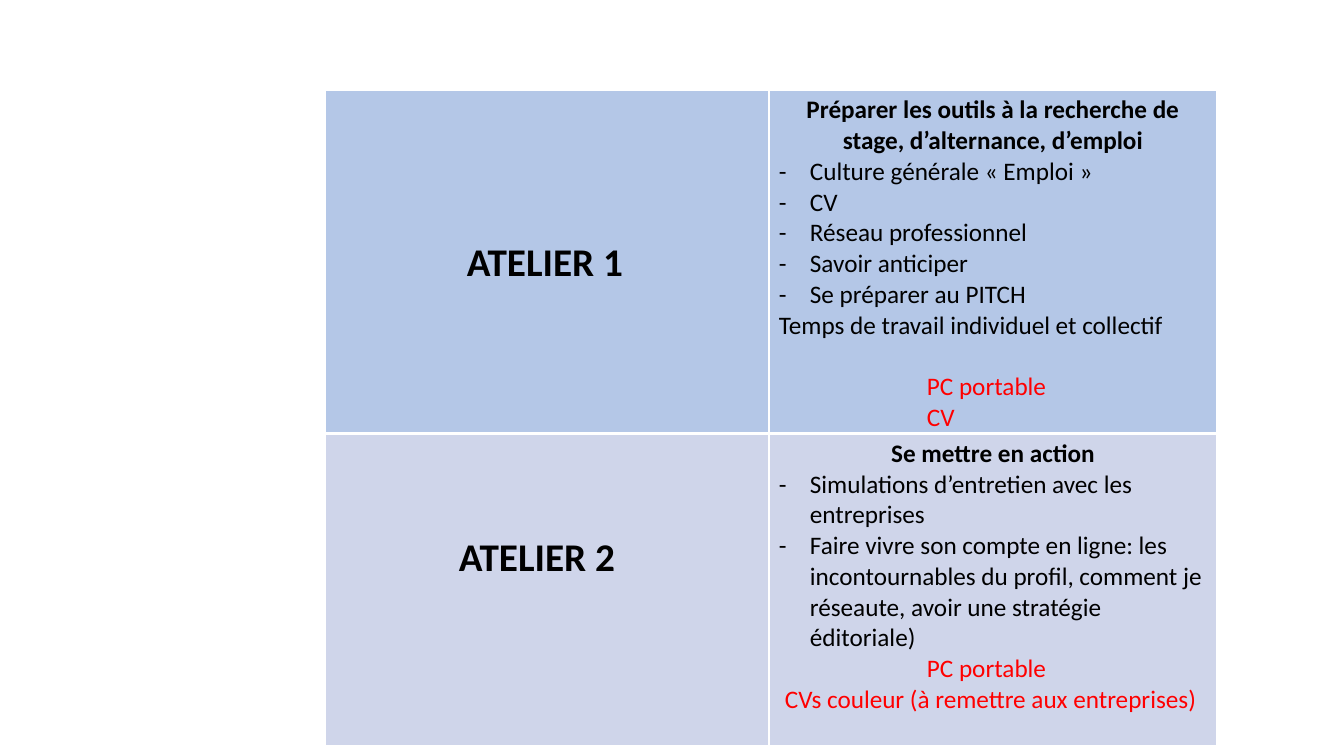
from lxml import etree
from pptx import Presentation
from pptx import util as u
from pptx.dml.color import RGBColor
from pptx.enum import text
from pptx.oxml.ns import qn

HEX = {"blue": "B4C7E7", "pale": "CFD5EA", "white": "FFFFFF",
       "black": "000000", "red": "FF0000"}
FONT = "Calibri"

# Each row: fill, height, (name, top inset, indent), lines of (kind, wording, indent)
ROWS = [
    ("blue", 343, ("ATELIER 1", 149, 132), [
        ("head", "Préparer les outils à la recherche de stage, d’alternance, d’emploi", 0),
        ("item", "Culture générale «\u00a0Emploi\u00a0»", 31),
        ("item", "CV", 31),
        ("item", "Réseau professionnel", 31),
        ("item", "Savoir anticiper", 31),
        ("item", "Se préparer au PITCH", 31),
        ("plain", "Temps de travail individuel et collectif", 0),
        ("first", "PC portable", 148),
        ("kit", "CV", 148),
    ]),
    ("pale", 312, ("ATELIER 2", 101, 124), [
        ("head", "Se mettre en action", 0),
        ("item", "Simulations d’entretien avec les entreprises", 31),
        ("item", "Faire vivre son compte en ligne: les incontournables du profil, "
                 "comment je réseaute, avoir une stratégie éditoriale)", 31),
        ("kit", "PC portable", 148),
        ("kit", "CVs couleur (à remettre aux entreprises)", 6),
    ]),
]
COLS = [444, 448]
LEFT, TOP = 325, 90
GAP = 22  # points above the first red line of the upper row


def px(n):
    return u.Emu(round(n * 914400 / 100.8))


def write(par, words, size, bold, color, indent):
    par.text = words
    par._p.get_or_add_pPr().set("marL", str(px(indent)))
    font = par.runs[0].font
    font.name, font.size, font.bold = FONT, u.Pt(size), bold
    font.color.rgb = RGBColor.from_string(HEX[color])


def dash(par, indent):
    """Give the paragraph a hanging dash."""
    props = par._p.get_or_add_pPr()
    props.set("indent", str(-px(indent)))
    etree.SubElement(props, qn("a:buFont")).set("typeface", FONT)
    etree.SubElement(props, qn("a:buChar")).set("char", "-")


def edge(cell, widths):
    """Draw white borders; widths are points for left, right, top, bottom."""
    props = cell._tc.get_or_add_tcPr()
    for i, (side, width) in enumerate(zip("LRTB", widths)):
        line = etree.Element(qn("a:ln" + side), w=str(u.Pt(width)))
        fill = etree.SubElement(line, qn("a:solidFill"))
        etree.SubElement(fill, qn("a:srgbClr")).set("val", HEX["white"])
        props.insert(i, line)


def main():
    prs = Presentation()
    prs.slide_width, prs.slide_height = px(1344), px(756)
    slide = prs.slides.add_slide(prs.slide_layouts[6])
    high = sum(row[1] for row in ROWS)
    grid = slide.shapes.add_table(len(ROWS), len(COLS), px(LEFT), px(TOP),
                                  px(sum(COLS)), px(high)).table
    grid.first_row = grid.horz_banding = False
    for col, wide in zip(grid.columns, COLS):
        col.width = px(wide)

    for r, (fill, tall, (name, inset, indent), lines) in enumerate(ROWS):
        grid.rows[r].height = px(tall)
        for cell in grid.rows[r].cells:
            cell.fill.solid()
            cell.fill.fore_color.rgb = RGBColor.from_string(HEX[fill])
            edge(cell, (1, 1, 3 if r else 1, 1 if r else 3))
            cell.margin_left = cell.margin_right = px(10)
            cell.margin_top, cell.margin_bottom = px(5), 0

        label, body = grid.cell(r, 0), grid.cell(r, 1).text_frame
        label.margin_top = px(inset)
        write(label.text_frame.paragraphs[0], name, 28, True, "black", indent)

        for i, (kind, words, shift) in enumerate(lines):
            par = body.add_paragraph() if i else body.paragraphs[0]
            color = "red" if kind in ("first", "kit") else "black"
            write(par, words, 18, kind == "head", color, shift)
            if kind == "head":
                par.alignment = text.PP_ALIGN.CENTER
            elif kind == "item":
                dash(par, shift)
            elif kind == "first":
                par.space_before = u.Pt(GAP)

    prs.save("out.pptx")


if __name__ == "__main__":
    main()
